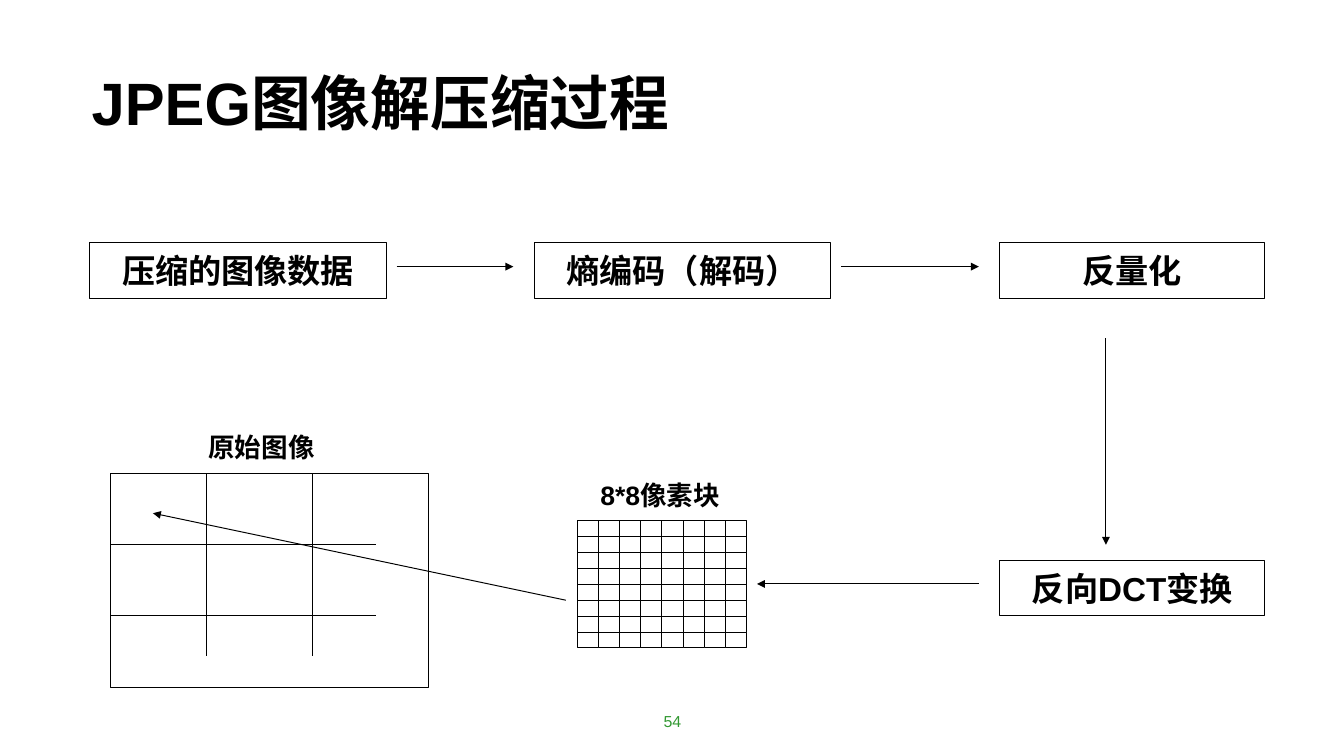
"""Builds the slide on the JPEG image decompression process."""
from lxml import etree
from pptx import Presentation
from pptx.dml.color import RGBColor
from pptx.enum.shapes import MSO_CONNECTOR, MSO_SHAPE
from pptx.enum.text import MSO_ANCHOR, MSO_AUTO_SIZE, PP_ALIGN
from pptx.oxml.ns import qn
from pptx.util import Inches, Pt


class ProcessSlide:
    colors = {"ink": "000000", "paper": "FFFFFF", "number": "339933"}
    font = "Arial"
    line_width = Pt(0.75)

    def __init__(self, slide):
        self.slide = slide

    def color(self, name):
        return RGBColor.from_string(self.colors[name])

    def add_text(self, shape, text, size, color="ink", bold=True,
                 align=PP_ALIGN.LEFT, anchor=MSO_ANCHOR.TOP, wrap=True):
        frame = shape.text_frame
        frame.word_wrap = wrap
        frame.vertical_anchor = anchor
        frame.margin_left = frame.margin_right = Inches(0.13)
        frame.margin_top = frame.margin_bottom = Inches(0.06)
        paragraph = frame.paragraphs[0]
        paragraph.alignment = align
        run = paragraph.add_run()
        run.text = text
        run.font.name = self.font
        run.font.size = Pt(size)
        run.font.bold = bold
        run.font.color.rgb = self.color(color)

    def rectangle(self, left, top, width, height, shapes=None):
        target = self.slide.shapes if shapes is None else shapes
        shape = target.add_shape(MSO_SHAPE.RECTANGLE, Inches(left), Inches(top),
                                 Inches(width), Inches(height))
        shape.shadow.inherit = False
        shape.fill.solid()
        shape.fill.fore_color.rgb = self.color("paper")
        shape.line.color.rgb = self.color("ink")
        shape.line.width = self.line_width
        return shape

    def step(self, text, left, top, width):
        self.add_text(self.rectangle(left, top, width, 0.58), text, 25,
                      align=PP_ALIGN.CENTER, anchor=MSO_ANCHOR.MIDDLE, wrap=False)

    def text_box(self, left, top, width, height):
        return self.slide.shapes.add_textbox(Inches(left), Inches(top),
                                             Inches(width), Inches(height))

    def label(self, text, left, top, width, height, size):
        box = self.text_box(left, top, width, height)
        self.add_text(box, text, size)
        box.text_frame.auto_size = MSO_AUTO_SIZE.SHAPE_TO_FIT_TEXT

    def page_number(self, text):
        self.add_text(self.text_box(4.66, 7.33, 4.75, 0.42), text, 12, "number",
                      bold=False, align=PP_ALIGN.CENTER, anchor=MSO_ANCHOR.MIDDLE)

    def line(self, x1, y1, x2, y2, arrow=False):
        connector = self.slide.shapes.add_connector(
            MSO_CONNECTOR.STRAIGHT, Inches(x1), Inches(y1), Inches(x2), Inches(y2))
        connector.line.color.rgb = self.color("ink")
        connector.line.width = self.line_width
        properties = connector._element.spPr
        if arrow:
            etree.SubElement(properties.find(qn("a:ln")), qn("a:tailEnd"),
                             type="triangle")
        etree.SubElement(properties, qn("a:effectLst"))

    def pixel_block(self, left, top, width, height, count):
        block = self.slide.shapes.add_group_shape()
        cell_width, cell_height = width / count, height / count
        for row in range(count):
            for column in range(count):
                self.rectangle(left + column * cell_width, top + row * cell_height,
                               cell_width, cell_height, block.shapes)


def main():
    presentation = Presentation()
    presentation.slide_width = Inches(14.06)
    presentation.slide_height = Inches(7.91)
    page = ProcessSlide(presentation.slides.add_slide(presentation.slide_layouts[6]))

    page.label("JPEG图像解压缩过程", 0.83, 0.63, 8.23, 0.88, 45)

    image_left, image_top = 1.16, 4.95
    page.rectangle(image_left, image_top, 3.32, 2.24)
    page.pixel_block(6.04, 5.45, 1.77, 1.33, 8)
    page.label("原始图像", 2.05, 4.45, 2.36, 0.46, 20)
    page.label("8*8像素块", 6.15, 4.95, 2.36, 0.46, 20)
    for row_y in (5.7, 6.44):
        page.line(image_left, row_y, 3.93, row_y)
    for column_x in (2.16, 3.27):
        page.line(column_x, image_top, column_x, 6.86)

    for text, left, top, width in (
        ("压缩的图像数据", 0.94, 2.54, 3.1),
        ("熵编码（解码）", 5.59, 2.54, 3.1),
        ("反量化", 10.46, 2.54, 2.77),
        ("反向DCT变换", 10.46, 5.86, 2.77),
    ):
        page.step(text, left, top, width)

    for ends in (
        (4.15, 2.79, 5.37, 2.79),
        (8.8, 2.79, 10.24, 2.79),
        (11.57, 3.54, 11.57, 5.7),
        (10.24, 6.11, 7.92, 6.11),
        (5.92, 6.28, 1.6, 5.37),
    ):
        page.line(*ends, arrow=True)

    page.page_number("54")
    presentation.save("out.pptx")


if __name__ == "__main__":
    main()
